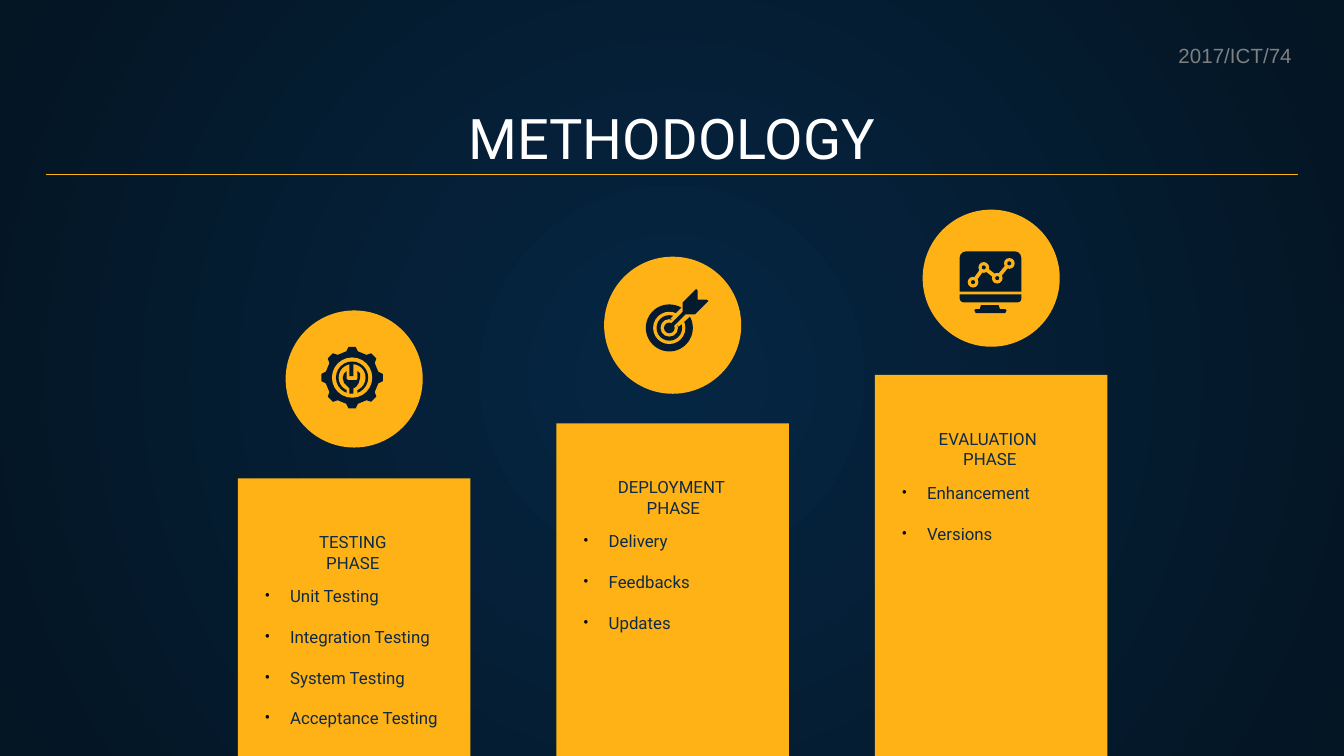
import math

import lxml.etree
import pptx
import pptx.dml.color
import pptx.enum.shapes
import pptx.enum.text
import pptx.oxml.ns
import pptx.util

Inches = pptx.util.Inches
Pt = pptx.util.Pt
SHAPE = pptx.enum.shapes.MSO_SHAPE
ALIGN = pptx.enum.text.PP_ALIGN
ANCHOR = pptx.enum.text.MSO_ANCHOR
qn = pptx.oxml.ns.qn

COLORS = {
    "glow": "052643", "night": "041523", "amber": "FFB215", "icon": "041B2F",
    "ink": "0E2A47", "white": "FFFFFF", "gray": "808080", "black": "000000",
}
TITLE = {"name": "Roboto", "size": Pt(30), "color": "white"}
BODY = {"name": "Roboto", "size": Pt(9), "color": "ink"}
CODE = {"name": "Arial", "size": Pt(11), "color": "gray"}

FIRST_LEFT, COLUMN_STEP, COLUMN_WIDTH, COLUMN_BOTTOM = 1.77, 2.37, 1.73, 5.66
# Column top, circle top, heading (\v breaks the line), steps
PHASES = [
    (3.56, 2.31, "TESTING\v PHASE ",
     ["Unit Testing", "Integration Testing", "System Testing", "Acceptance Testing"]),
    (3.15, 1.91, "DEPLOYMENT\v PHASE", ["Delivery", "Feedbacks", "Updates"]),
    (2.79, 1.56, "EVALUATION \vPHASE", ["Enhancement", "Versions"]),
]

WRENCH = [
    (2.58, 2.76), (2.56, 2.78), (2.55, 2.81), (2.56, 2.85), (2.59, 2.88), (2.6, 2.89),
    (2.6, 2.93), (2.63, 2.93), (2.63, 2.89), (2.65, 2.88), (2.67, 2.85), (2.68, 2.81),
    (2.68, 2.78), (2.66, 2.76), (2.66, 2.82), (2.65, 2.83), (2.59, 2.83), (2.58, 2.82),
]
ARROW = [
    (5.18, 2.15), (5.09, 2.24), (5.08, 2.25), (5.08, 2.32), (4.99, 2.41), (5.01, 2.43),
    (5.1, 2.34), (5.17, 2.34), (5.26, 2.25), (5.27, 2.24), (5.26, 2.23), (5.19, 2.23), (5.19, 2.16),
]
ARROW_GAP = [(4.99, 2.37), (5.08, 2.28), (5.14, 2.35), (5.05, 2.43)]
STAND = [
    (7.3, 2.27), (7.29, 2.3), (7.26, 2.3), (7.25, 2.31), (7.26, 2.33),
    (7.48, 2.33), (7.49, 2.31), (7.48, 2.3), (7.44, 2.3), (7.43, 2.27),
]
CHART_NODES = [(7.24, 2.1), (7.32, 1.99), (7.42, 2.07), (7.51, 1.96)]


def rgb(color):
    return pptx.dml.color.RGBColor.from_string(COLORS[color])


def paint(shape, color):
    shape.shadow.inherit = False
    shape.fill.solid()
    shape.fill.fore_color.rgb = rgb(color)
    shape.line.fill.background()
    return shape


def add_block(shapes, kind, left, top, width, height, color):
    box = shapes.add_shape(kind, Inches(left), Inches(top), Inches(width), Inches(height))
    return paint(box, color)


def add_disc(shapes, center, radius, color):
    x, y = center
    return add_block(shapes, SHAPE.OVAL, x - radius, y - radius, 2 * radius, 2 * radius, color)


def add_outline(shapes, points, color):
    corners = [(Inches(x), Inches(y)) for x, y in points]
    builder = shapes.build_freeform(*corners[0])
    builder.add_line_segments(corners[1:], close=True)
    return paint(builder.convert_to_shape(), color)


def add_line(shapes, start, end, width):
    line = shapes.add_connector(
        pptx.enum.shapes.MSO_CONNECTOR.STRAIGHT, *(Inches(value) for value in (*start, *end)))
    line.line.color.rgb = rgb("amber")
    line.line.width = Pt(width)
    lxml.etree.SubElement(line.element.spPr, qn("a:effectLst"))


def add_bullet(para):
    properties = para._p.get_or_add_pPr()
    properties.set("marL", str(Inches(0.19)))
    properties.set("indent", str(-Inches(0.19)))
    tint = lxml.etree.SubElement(properties, qn("a:buClr"))
    lxml.etree.SubElement(tint, qn("a:srgbClr"), val=COLORS["black"])
    lxml.etree.SubElement(properties, qn("a:buFont"), typeface="Roboto")
    lxml.etree.SubElement(properties, qn("a:buChar"), char="•")


def style_text(para, style):
    for span in para.runs:
        for name, value in style.items():
            if name == "color":
                span.font.color.rgb = rgb(value)
            else:
                setattr(span.font, name, value)
    for line_break in para._p.findall(qn("a:br")):
        lxml.etree.SubElement(line_break, qn("a:rPr"), sz=str(int(style["size"].pt * 100)))


def add_text(slide, place, lines, style, align=ALIGN.LEFT, anchor=ANCHOR.TOP,
             wrap=True, bullets=False, gap=0):
    box = slide.shapes.add_textbox(*(Inches(value) for value in place))
    frame = box.text_frame
    settings = {"word_wrap": wrap, "vertical_anchor": anchor}
    if wrap:
        settings.update({f"margin_{side}": Inches(0.1) for side in ("left", "top", "right", "bottom")})
    for name, value in settings.items():
        setattr(frame, name, value)
    for index, line in enumerate(lines):
        para = frame.add_paragraph() if index else frame.paragraphs[0]
        if bullets:
            add_bullet(para)
        para.alignment = align
        if index and gap:
            para.space_before = Pt(gap)
        para.text = line
        style_text(para, style)


def set_background(slide):
    """Radial gradient spreading from the middle of the slide."""
    fill = slide.background.fill
    fill.gradient()
    for stop, color, position in zip(fill.gradient_stops, ("glow", "night"), (0, 1)):
        stop.color.rgb = rgb(color)
        stop.position = position
    gradient = slide.element.find(".//" + qn("a:gradFill"))
    gradient.remove(gradient.find(qn("a:lin")))
    radial = lxml.etree.SubElement(gradient, qn("a:path"), path="circle")
    lxml.etree.SubElement(radial, qn("a:fillToRect"), l="50000", t="50000", r="50000", b="50000")


def gear_points(center, teeth=8, outer=0.23, root=0.2):
    pitch = 2 * math.pi / teeth
    corners = [(-0.28, root), (-0.15, outer), (0.15, outer), (0.28, root)]
    return [
        (center[0] + radius * math.sin((tooth + share) * pitch),
         center[1] - radius * math.cos((tooth + share) * pitch))
        for tooth in range(teeth) for share, radius in corners
    ]


def add_gear_icon(shapes):
    center = (2.62, 2.81)
    add_outline(shapes, gear_points(center), "icon")
    for radius, color in ((0.15, "amber"), (0.12, "icon"), (0.1, "amber")):
        add_disc(shapes, center, radius, color)
    add_block(shapes, SHAPE.RECTANGLE, 2.58, 2.89, 0.08, 0.05, "amber")
    add_block(shapes, SHAPE.RECTANGLE, 2.6, 2.7, 0.03, 0.1, "icon")
    add_outline(shapes, WRENCH, "icon")


def add_target_icon(shapes):
    center = (4.98, 2.44)
    for radius, color in ((0.175, "icon"), (0.12, "amber"), (0.095, "icon"), (0.065, "amber")):
        add_disc(shapes, center, radius, color)
    add_outline(shapes, ARROW_GAP, "amber")
    add_disc(shapes, center, 0.04, "icon")
    add_outline(shapes, ARROW, "icon")


def add_monitor_icon(shapes):
    add_block(shapes, SHAPE.ROUND_2_SAME_RECTANGLE, 7.14, 1.87, 0.46, 0.3, "icon")
    base = add_block(shapes, SHAPE.ROUND_2_SAME_RECTANGLE, 7.14, 2.19, 0.46, 0.06, "icon")
    base.adjustments[0] = 0.5
    base.rotation = 180
    add_outline(shapes, STAND, "icon")
    for start, end in zip(CHART_NODES, CHART_NODES[1:]):
        add_line(shapes, start, end, 2)
    for node in CHART_NODES:
        add_disc(shapes, node, 0.04, "amber")
        add_disc(shapes, node, 0.015, "icon")


def add_phase(slide, left, top, circle_top, heading, steps):
    middle = left + COLUMN_WIDTH / 2
    add_block(slide.shapes, SHAPE.RECTANGLE, left, top, COLUMN_WIDTH, COLUMN_BOTTOM - top, "amber")
    add_disc(slide.shapes, (middle, circle_top + 0.51), 0.51, "amber")
    add_text(slide, (left - 0.28, top + 0.59, 2.27, 0.21), [heading], BODY,
             align=ALIGN.CENTER, anchor=ANCHOR.BOTTOM)
    add_text(slide, (left + 0.1, top + 0.7, 1.52, 0.3 * len(steps)), steps, BODY, bullets=True, gap=11)


def main():
    deck = pptx.Presentation()
    deck.slide_width, deck.slide_height = Inches(10), Inches(5.625)
    page = deck.slides.add_slide(deck.slide_layouts[6])
    set_background(page)
    add_text(page, (0.34, 0.71, 9.32, 0.66), ["METHODOLOGY"], TITLE,
             align=ALIGN.CENTER, anchor=ANCHOR.BOTTOM)
    add_line(page.shapes, (0.34, 1.3), (9.66, 1.3), 0.75)
    for index, phase in enumerate(PHASES):
        add_phase(page, FIRST_LEFT + index * COLUMN_STEP, *phase)
    for add_icon in (add_gear_icon, add_target_icon, add_monitor_icon):
        add_icon(page.shapes.add_group_shape().shapes)
    add_text(page, (8.67, 0.27, 1.05, 0.29), ["2017/ICT/74"], CODE, wrap=False)
    deck.save("out.pptx")


if __name__ == "__main__":
    main()
